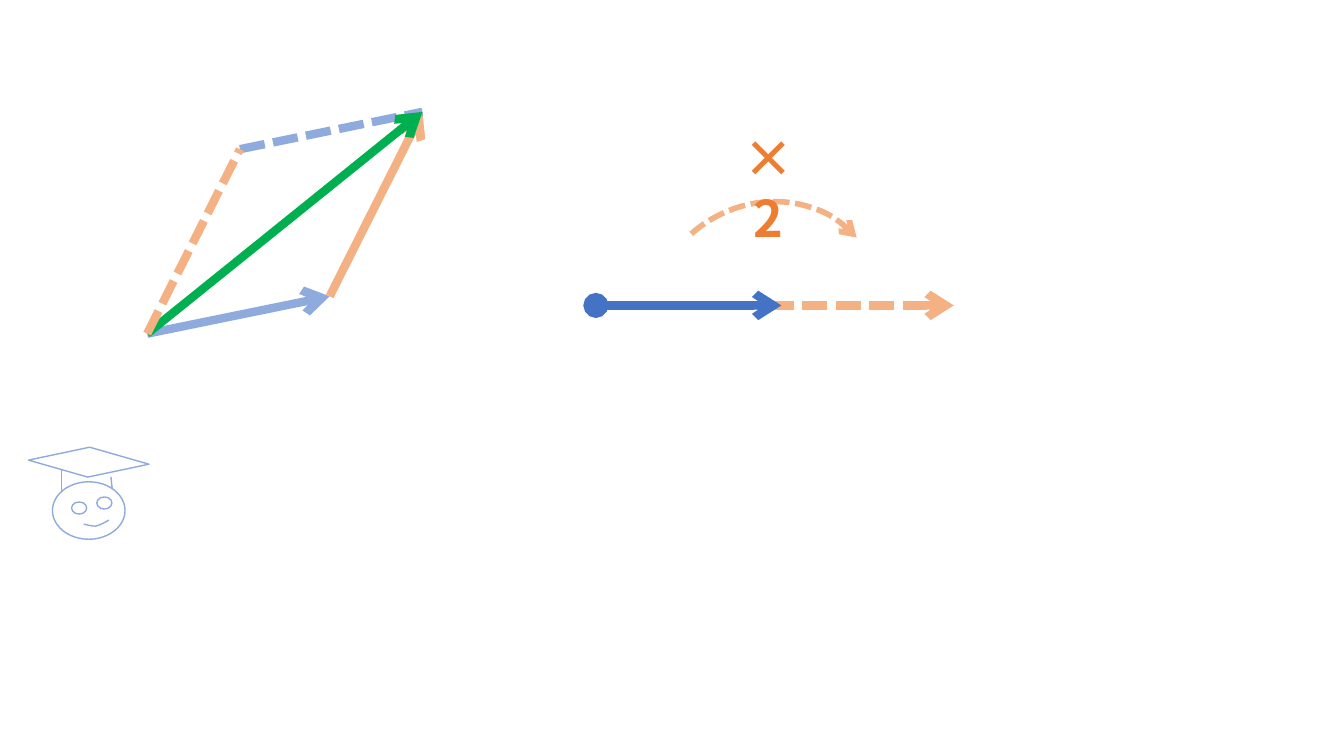
from lxml.etree import SubElement
from pptx import Presentation
from pptx.dml.color import RGBColor
from pptx.enum.shapes import MSO_CONNECTOR, MSO_SHAPE
from pptx.enum.text import MSO_AUTO_SIZE, PP_ALIGN
from pptx.oxml.ns import qn
from pptx.util import Inches, Pt


class Theme:
    blue, pale_blue, orange, peach, green, white = (
        RGBColor.from_string(value)
        for value in ("4472C4", "8FAADC", "ED7D31", "F4B183", "00B050", "FFFFFF"))
    font = "Noto Sans CJK SC"
    label_size = Pt(36)
    vector, curve, sketch = Pt(6), Pt(4), Pt(1)


# Content: vector addition (tail, two sides) and scaling by two
ORIGIN = (1.46, 3.31)
SIDE_A, SIDE_B = (1.81, -0.37), (0.92, -1.83)
AXIS_Y = 3.03
SCALE_LABEL = "×2"
SCALE_LABEL_BOX = (7.16, 1.21, 0.92, 0.71)
SCALE_ARC = (6.39, 2.04, 2.41, 2.23)

# Content: graduate mascot
CAP = (0.3, 4.44, 1.16, 0.29)
CAP_SIDES = [((0.61, 4.66), (0.61, 5.01)), ((1.1, 4.73), (1.13, 5.01))]
HEAD_AND_EYES = [(0.52, 4.78, 0.72, 0.57), (0.71, 4.98, 0.15, 0.12),
                 (0.96, 4.93, 0.15, 0.12)]
SMILE_CURVES = [((0.83, 5.2), (0.87, 5.21), (0.91, 5.22), (0.95, 5.22)),
                ((0.95, 5.22), (0.99, 5.21), (1.03, 5.19), (1.08, 5.16))]
SMILE_STEPS = 8


def add_points(*points):
    return tuple(sum(values) for values in zip(*points))


def style_line(shape, color, width, dashed=False, head=None, tail=None):
    shape.line.color.rgb = color
    shape.line.width = width
    outline = shape.line._get_or_add_ln()
    if dashed:
        SubElement(outline, qn("a:prstDash"), val="sysDash")
    for tag, kind in (("a:headEnd", head), ("a:tailEnd", tail)):
        if kind:
            SubElement(outline, qn(tag), type=kind)


def draw_line(parent, start, end, color, width=Theme.vector, **ends):
    line = parent.shapes.add_connector(
        MSO_CONNECTOR.STRAIGHT, *(Inches(value) for value in start + end))
    style_line(line, color, width, **ends)
    SubElement(line._element.spPr, qn("a:effectLst"))


def draw_shape(parent, kind, bounds, color, width, fill=None, **ends):
    shape = parent.shapes.add_shape(kind, *(Inches(value) for value in bounds))
    shape.shadow.inherit = False
    if fill is None:
        shape.fill.background()
    else:
        shape.fill.solid()
        shape.fill.fore_color.rgb = fill
    style_line(shape, color, width, **ends)
    return shape


def draw_addition(page):
    group = page.shapes.add_group_shape()
    tip_a, tip_b = add_points(ORIGIN, SIDE_A), add_points(ORIGIN, SIDE_B)
    total = add_points(tip_a, SIDE_B)
    draw_line(group, ORIGIN, tip_a, Theme.pale_blue, tail="arrow")
    draw_line(group, tip_a, total, Theme.peach, tail="arrow")
    draw_line(group, tip_b, total, Theme.pale_blue, dashed=True)
    draw_line(group, ORIGIN, total, Theme.green, tail="arrow")
    draw_line(group, ORIGIN, tip_b, Theme.peach, dashed=True)


def draw_scaling(page):
    group = page.shapes.add_group_shape()
    draw_line(group, (7.62, AXIS_Y), (9.46, AXIS_Y), Theme.peach,
              dashed=True, tail="arrow")
    draw_line(group, (5.91, AXIS_Y), (7.75, AXIS_Y), Theme.blue,
              head="oval", tail="arrow")
    arc = draw_shape(group, MSO_SHAPE.ARC, SCALE_ARC, Theme.peach, Theme.curve,
                     dashed=True, tail="arrow")
    arc.rotation = 318.5

    box = group.shapes.add_textbox(*(Inches(value) for value in SCALE_LABEL_BOX))
    box.text_frame.word_wrap = True
    box.text_frame.auto_size = MSO_AUTO_SIZE.SHAPE_TO_FIT_TEXT
    para = box.text_frame.paragraphs[0]
    para.alignment = PP_ALIGN.CENTER
    span = para.add_run()
    span.text = SCALE_LABEL
    span.font.color.rgb = Theme.orange
    formats = {"size": Theme.label_size, "bold": True, "name": Theme.font}
    for name, value in formats.items():
        setattr(span.font, name, value)
    properties = span._r.get_or_add_rPr()
    properties.set("lang", "zh-CN")
    SubElement(properties, qn("a:ea"), typeface=Theme.font)


def curve_point(curve, t):
    weights = ((1 - t) ** 3, 3 * t * (1 - t) ** 2, 3 * t ** 2 * (1 - t), t ** 3)
    return tuple(Inches(sum(w * point[axis] for w, point in zip(weights, curve)))
                 for axis in (0, 1))


def draw_mascot(page):
    pen = (Theme.pale_blue, Theme.sketch)
    cap = draw_shape(page, MSO_SHAPE.PARALLELOGRAM, CAP, *pen, fill=Theme.white)
    cap.adjustments[0] = 1.89
    cap.rotation = 16
    for start, end in CAP_SIDES:
        draw_line(page, start, end, *pen)
    for bounds in HEAD_AND_EYES:
        draw_shape(page, MSO_SHAPE.OVAL, bounds, *pen, fill=Theme.white)

    # Smile
    points = [curve_point(curve, step / SMILE_STEPS)
              for curve in SMILE_CURVES for step in range(1, SMILE_STEPS + 1)]
    builder = page.shapes.build_freeform(*curve_point(SMILE_CURVES[0], 0))
    builder.add_line_segments(points, close=False)
    smile = builder.convert_to_shape()
    smile.shadow.inherit = False
    smile.fill.background()
    style_line(smile, *pen)


def main():
    deck = Presentation()
    deck.slide_width, deck.slide_height = Inches(13.33), Inches(7.5)
    page = deck.slides.add_slide(deck.slide_layouts[6])
    draw_addition(page)
    draw_scaling(page)
    draw_mascot(page)
    deck.save("out.pptx")


if __name__ == "__main__":
    main()
